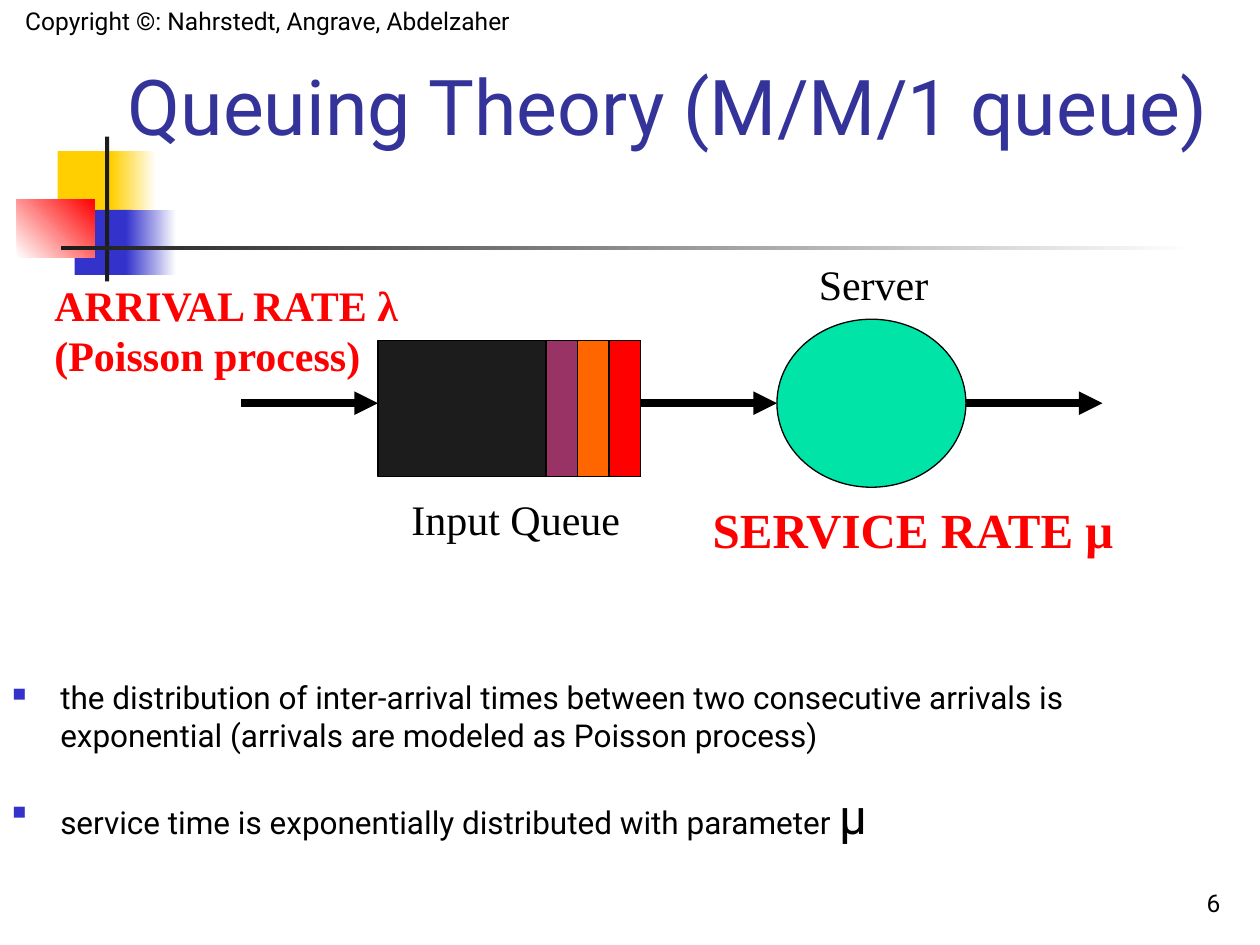
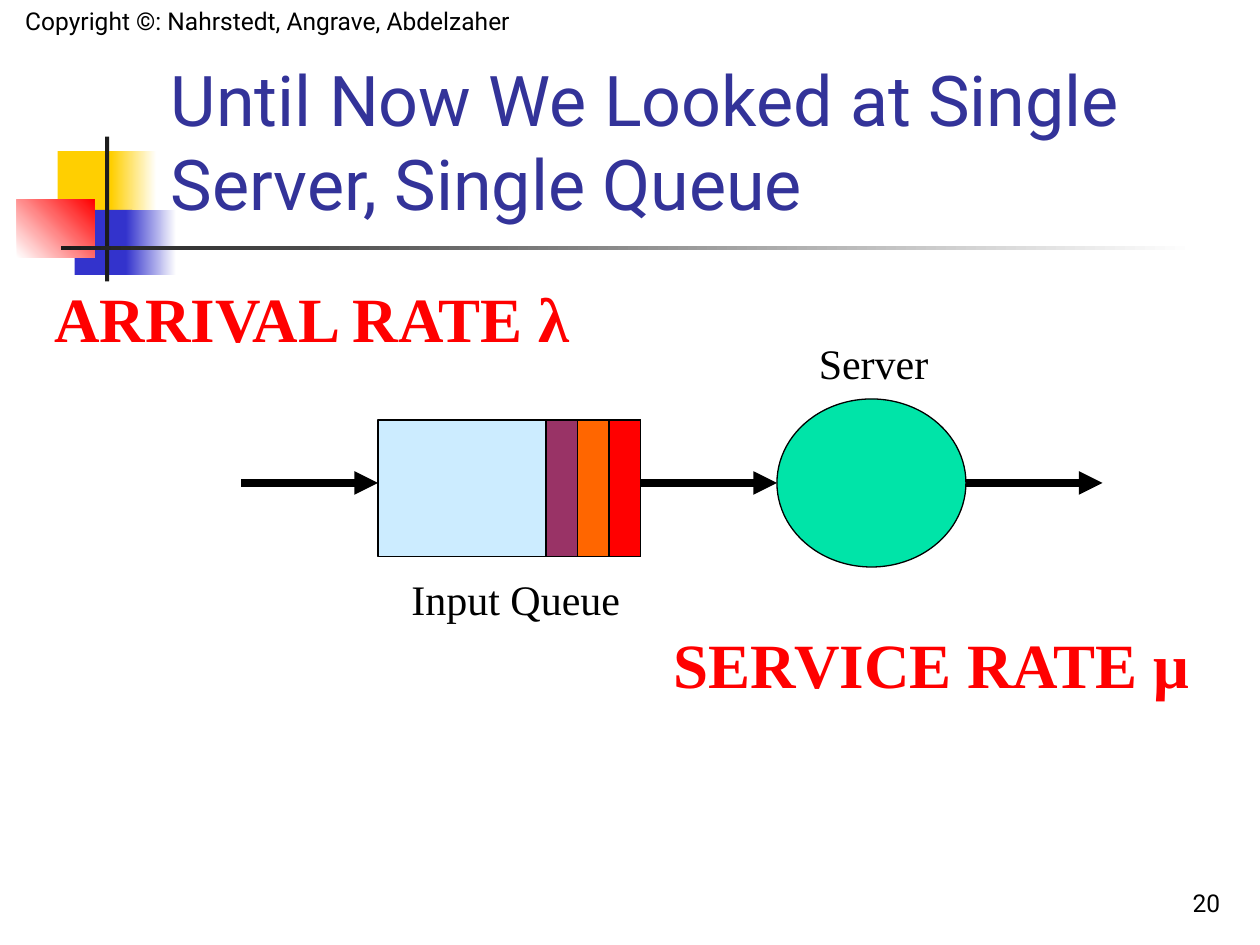
from lxml import etree
from pptx import Presentation
from pptx.dml.color import RGBColor
from pptx.enum.shapes import MSO_CONNECTOR, MSO_SHAPE
from pptx.enum.text import MSO_ANCHOR, MSO_AUTO_SIZE, PP_ALIGN
from pptx.oxml.ns import qn
from pptx.util import Inches, Pt

RECTANGLE, ELLIPSE = MSO_SHAPE.RECTANGLE, MSO_SHAPE.OVAL
STRAIGHT = MSO_CONNECTOR.STRAIGHT
TOP, BOTTOM = MSO_ANCHOR.TOP, MSO_ANCHOR.BOTTOM
LEFT, CENTER, RIGHT = PP_ALIGN.LEFT, PP_ALIGN.CENTER, PP_ALIGN.RIGHT
FIT_SHAPE = MSO_AUTO_SIZE.SHAPE_TO_FIT_TEXT

COLUMNS, ROWS = 120, 90
SANS, SERIF = "Roboto", "Times New Roman"
COLORS = {
    "white": "FFFFFF",
    "black": "000000",
    "dark": "1C1C1C",
    "title": "333399",
    "yellow": "FFCF01",
    "blue": "3333CC",
    "red": "FF0000",
    "orange": "FF6600",
    "plum": "993366",
    "green": "00E4A8",
    "pale blue": "CCECFF",
}
JOB_COLORS = ("plum", "orange", "red")
COPYRIGHT = "Copyright ©: Nahrstedt, Angrave, Abdelzaher"


def rgb(name):
    return RGBColor.from_string(COLORS[name])


class Deck:
    """Holds the shared style and the current slide; lengths are grid columns and rows."""

    def __init__(self):
        self.presentation = Presentation()
        self.presentation.slide_width = Inches(10)
        self.presentation.slide_height = Inches(7.5)
        self.slide = None

    def x(self, columns):
        return round(self.presentation.slide_width * columns / COLUMNS)

    def y(self, rows):
        return round(self.presentation.slide_height * rows / ROWS)

    def place(self, left, top, width, height):
        return self.x(left), self.y(top), self.x(width), self.y(height)

    def add_slide(self, title, title_box, title_size, number):
        self.slide = self.presentation.slides.add_slide(
            self.presentation.slide_layouts[6])
        fill = self.slide.background.fill
        fill.solid()
        fill.fore_color.rgb = rgb("white")
        self.ornament()
        self.text((0, 0, 51, 4), [COPYRIGHT], 14, align=CENTER, anchor=BOTTOM)
        self.text((92.4, 82, 25, 6), [number], 14, align=RIGHT, anchor=BOTTOM)
        self.text(title_box, [title], title_size, color="title", anchor=BOTTOM)

    def ornament(self):
        """Coloured squares and the crossed rules beside the title."""
        self.shape((5.5, 14.4, 5.8, 6.2), "yellow")
        self.gradient((10.6, 14.4, 4.3, 6.2), "yellow", "white")
        self.shape((7.1, 20, 5.5, 6.2), "blue")
        self.gradient((12, 20, 4.8, 6.2), "blue", "white")
        self.gradient((1.6, 19, 7.4, 5.5), "white", "red", 45)
        self.shape((10, 13, 0.4, 13.8), "dark")
        self.gradient((5.8, 23.4, 108, 0.4), "dark", "white")

    def shape(self, box, color, preset=RECTANGLE, outlined=False):
        shape = self.slide.shapes.add_shape(preset, *self.place(*box))
        shape.shadow.inherit = False
        shape.fill.solid()
        shape.fill.fore_color.rgb = rgb(color)
        if outlined:
            shape.line.color.rgb = rgb("black")
            shape.line.width = Pt(0.75)
        else:
            shape.line.fill.background()
        return shape

    def gradient(self, box, start, end, angle=0):
        fill = self.shape(box, start).fill
        fill.gradient()
        fill.gradient_angle = angle
        for stop, color in zip(fill.gradient_stops, (start, end)):
            stop.color.rgb = rgb(color)

    def arrow(self, start, end, row):
        connector = self.slide.shapes.add_connector(
            STRAIGHT, self.x(start), self.y(row), self.x(end), self.y(row))
        connector.line.color.rgb = rgb("black")
        connector.line.width = Pt(4.5)
        properties = connector._element.spPr
        line = properties.find(qn("a:ln"))
        etree.SubElement(line, qn("a:tailEnd"), type="triangle")
        etree.SubElement(properties, qn("a:effectLst"))

    def text_frame(self, box, anchor=TOP):
        frame = self.slide.shapes.add_textbox(*self.place(*box)).text_frame
        frame.word_wrap = True
        frame.vertical_anchor = anchor
        return frame

    def run(self, paragraph, text, size, font=SANS, color="black", bold=False):
        run = paragraph.add_run()
        run.text = text
        run.font.name = font
        run.font.size = Pt(size)
        run.font.bold = bold
        run.font.color.rgb = rgb(color)

    def text(self, box, lines, size, align=LEFT, anchor=TOP, **style):
        frame = self.text_frame(box, anchor)
        for index, line in enumerate(lines):
            paragraph = frame.add_paragraph() if index else frame.paragraphs[0]
            paragraph.alignment = align
            self.run(paragraph, line, size, **style)
        return frame

    def label(self, box, lines, size=24, color="black", bold=False):
        """Serif text on unwrapped lines, in a box that fits it."""
        frame = self.text(box, lines, size, font=SERIF, color=color, bold=bold)
        frame.word_wrap = False
        frame.auto_size = FIT_SHAPE

    def rate(self, box, lines, size):
        self.label(box, lines, size, "red", True)

    def bullets(self, box, items, gap):
        """Each item is a list of (text, size) runs."""
        frame = self.text_frame(box)
        for index, item in enumerate(items):
            paragraph = frame.add_paragraph() if index else frame.paragraphs[0]
            properties = paragraph._p.get_or_add_pPr()
            indent = Inches(0.38)
            properties.set("marL", str(indent))
            properties.set("indent", str(-indent))
            color = etree.SubElement(properties, qn("a:buClr"))
            etree.SubElement(color, qn("a:srgbClr"), val=COLORS["blue"])
            etree.SubElement(properties, qn("a:buSzPct"), val="60000")
            etree.SubElement(properties, qn("a:buChar"), char="■")
            if index:
                paragraph.space_before = Pt(gap)
            for text, size in item:
                self.run(paragraph, text, size)

    def queue_diagram(self, top, queue_color):
        """Queue with waiting jobs, server and arrows; top is the queue's first row."""
        queue_left, queue_width, queue_height = 36, 25, 13
        queue_right = queue_left + queue_width
        server_left, server_width, server_height = 74, 18, 16
        server_right = server_left + server_width
        arrow_length, arrow_row = 13, top + 6
        job_width = 3

        self.shape((queue_left, top, queue_width, queue_height), queue_color,
                   outlined=True)
        first_job = queue_right - job_width * len(JOB_COLORS)
        for index, color in enumerate(JOB_COLORS):
            self.shape((first_job + index * job_width, top, job_width, queue_height),
                       color, outlined=True)
        self.shape((server_left, arrow_row - server_height / 2,
                    server_width, server_height), "green", ELLIPSE, True)
        for start, end in ((queue_left - arrow_length, queue_left),
                           (queue_right, server_left),
                           (server_right, server_right + arrow_length)):
            self.arrow(start, end, arrow_row)
        self.label((38, top + 14, 22.3, 6), ["Input Queue"])
        self.label((76.8, top - 8.4, 12.8, 6), ["Server"])


def main():
    deck = Deck()

    deck.add_slide("Queuing Theory (M/M/1 queue)", (11, 5, 105.4, 10), 44, "6")
    deck.queue_diagram(32.4, "dark")
    deck.rate((4, 26, 36.5, 10.8), ["ARRIVAL RATE λ", "(Poisson process)"], 24)
    deck.rate((66.7, 47, 41.2, 6.8), ["SERVICE RATE μ"], 28)
    deck.bullets((0, 64, 117.5, 26), [
        [("the distribution of inter-arrival times between two consecutive "
          "arrivals is exponential (arrivals are modeled as Poisson process)", 18)],
        [("service time is exponentially distributed with parameter ", 18),
         ("μ", 28)],
    ], gap=18)

    deck.add_slide("Until Now We Looked at Single Server, Single Queue",
                   (15.1, 2.8, 102.2, 19.2), 40, "20")
    deck.queue_diagram(40, "pale blue")
    deck.rate((4, 26, 53.4, 8.4), ["ARRIVAL RATE λ"], 36)
    deck.rate((63, 59, 52.2, 8.4), ["SERVICE RATE μ"], 36)

    deck.presentation.save("out.pptx")


if __name__ == "__main__":
    main()
